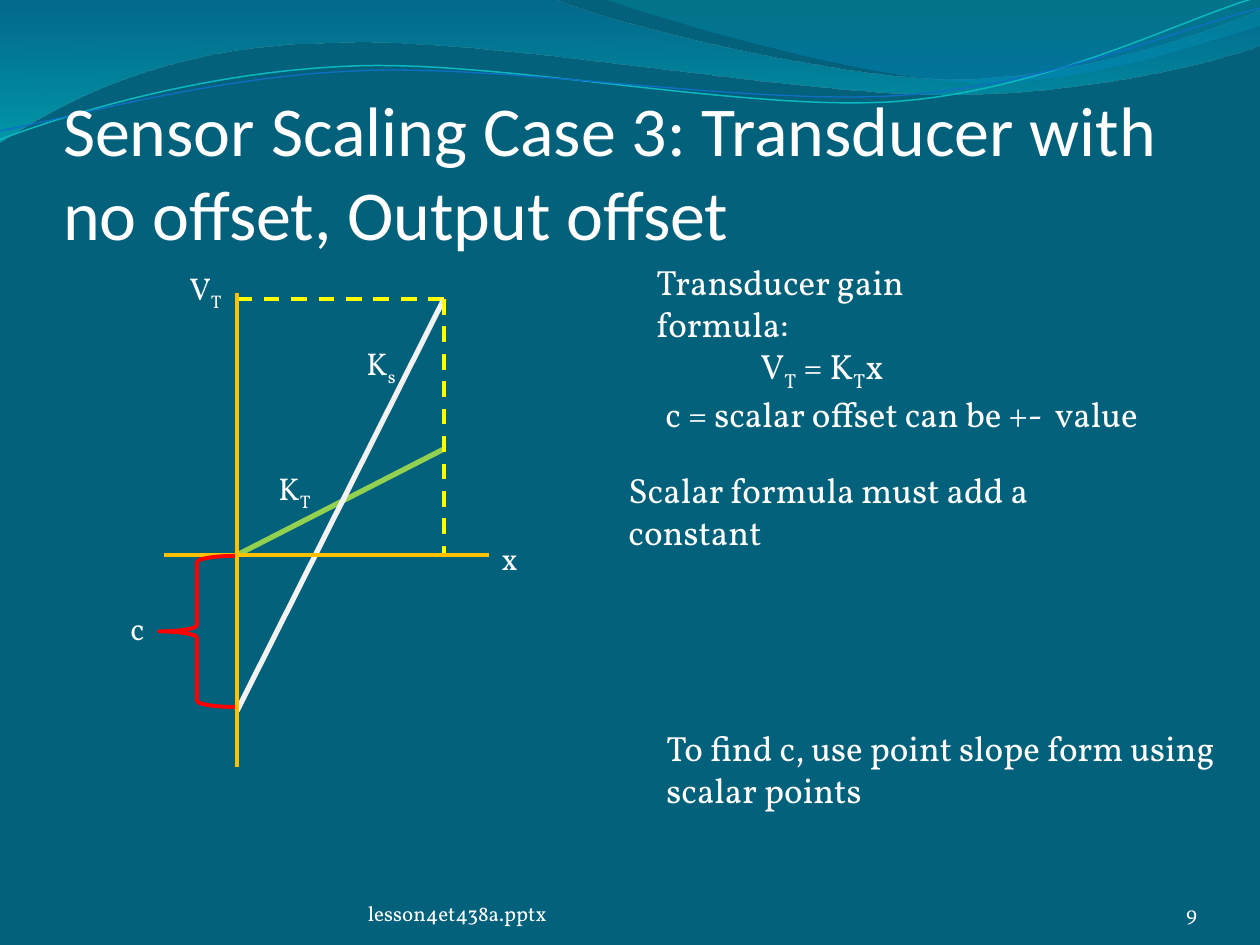
from lxml.etree import SubElement
from pptx import Presentation
from pptx.dml.color import RGBColor
from pptx.enum.dml import MSO_LINE
from pptx.enum.shapes import MSO_CONNECTOR, MSO_SHAPE
from pptx.enum.text import MSO_ANCHOR, MSO_AUTO_SIZE, PP_ALIGN
from pptx.oxml.ns import qn
from pptx.util import Emu, Pt

PX = 914400 / 126
WHITE, YELLOW, GOLD = "FFFFFF", "FFFF00", "FFC000"
TITLE = "Sensor Scaling Case 3: Transducer with no offset, Output offset"

# Outlines: a 2-tuple is a straight step, a 6-tuple a Bezier step.
# Gradient stops: position, colour, opacity in percent.
WAVES = [
    ([(0, 0), (554, -1), (600, 21, 837, 79, 955, 79), (1075, 79, 1207, 33, 1260, 11),
      (1261, 45), (1239, 55, 1096, 96, 940, 94), (784, 94, 481, 35, 324, 43),
      (163, 45, 58, 105, -1, 142)],
     [(0, "0074A1", 45), (1, "00C6CF", 55)]),
    ([(604, -1), (641, 14, 859, 78, 969, 82), (1079, 87, 1211, 40, 1260, 26), (1260, 0)],
     [(0, "00A1A9", 30), (0.8, "008BBF", 45)]),
]
RIPPLE_ANGLE = 357.3
RIPPLES = [
    ([(-3, 110), (58, 90, 199, 52, 350, 53), (499, 53, 745, 118, 896, 114),
      (1049, 109, 1184, 45, 1260, 27)], "0AB8BF", 0.85),
    ([(-2, 101), (57, 94, 207, 57, 357, 58), (509, 58, 750, 112, 902, 108),
      (1052, 104, 1189, 52, 1262, 38)], "0F6FC6", 0.75),
]

# Graph geometry
ORIGIN_X, ORIGIN_Y = 237, 555
FULL_X, FULL_Y = 444, 299
LINES = [  # x1, y1, x2, y2, colour, points, dashed
    (FULL_X, FULL_Y, 235, FULL_Y, YELLOW, 2.25, True),
    (ORIGIN_X, ORIGIN_Y, FULL_X, 449, "92D050", 3, False),
    (FULL_X, FULL_Y, ORIGIN_X, 711, "F2F2F2", 3, False),
    (FULL_X, FULL_Y, FULL_X, ORIGIN_Y, YELLOW, 2.25, True),
    (ORIGIN_X, 293, ORIGIN_X, 767, GOLD, 2, False),
    (489, ORIGIN_Y, 164, ORIGIN_Y, GOLD, 2, False),
]
BRACE = (159, 556, 76, 151)

# Text: box, paragraphs (indent, runs); a run starting with "_" is a subscript
LABELS = [
    ((266, 463, 59, 50), [(0, ["K", "_T"])]),
    ((354, 338, 54, 50), [(0, ["K", "_s"])]),
    ((177, 263, 60, 50), [(0, ["V", "_T"])]),
    ((489, 533, 40, 50), [(0, ["x"])]),
    ((118, 603, 40, 50), [(0, ["c"])]),
]
NOTES = [
    ((653, 386, 506, 54), [(0, ["c = scalar offset can be +-  value"])]),
    ((644, 254, 406, 97), [(0, ["Transducer gain formula:"]),
                           (104, ["V", "_T", " = K", "_T", "x"])]),
    ((616, 462, 559, 54), [(0, ["Scalar formula must add a constant"])]),
    ((654, 720, 638, 97), [(0, ["To find c, use point slope form using scalar points"])]),
]
FOOTERS = [
    ((368, 876, 462, 50), "lesson4et438a.pptx", PP_ALIGN.LEFT),
    ((1092, 876, 105, 50), "9", PP_ALIGN.RIGHT),
]


def px(*values):
    return [Emu(round(v * PX)) for v in values]


def rgb(color):
    return RGBColor.from_string(color)


def set_attrs(obj, **values):
    for name, value in values.items():
        setattr(obj, name, value)


def set_line(sp, color, points):
    sp.line.color.rgb = rgb(color)
    sp.line.width = Pt(points)


def add_outline(s, steps, close):
    """Draw straight and Bezier steps as one freeform on the slide's layout."""
    ends = [px(*step[-2:]) for step in steps]
    builder = s.shapes.build_freeform(*ends[0])
    builder.add_line_segments(ends[1:], close=close)
    sp = builder.convert_to_shape()
    sp.shadow.inherit = False
    segments = list(sp._element.iter(qn("a:lnTo")))
    for segment, step in zip(segments, steps[1:]):
        if len(step) == 6:
            segment.tag = qn("a:cubicBezTo")
            for i in (0, 1):
                x, y = px(*step[2 * i:2 * i + 2])
                pt = SubElement(segment, qn("a:pt"))
                pt.set("x", str(x - sp.left))
                pt.set("y", str(y - sp.top))
                segment.insert(i, pt)
    s.slide_layout.shapes._spTree.append(sp._element)
    return sp


def add_wave(s, steps, stops):
    sp = add_outline(s, steps, True)
    sp.line.fill.background()
    sp.fill.gradient()
    sp.fill.gradient_angle = 270
    for stop, (position, color, _) in zip(sp.fill.gradient_stops, stops):
        stop.position = position
        stop.color.rgb = rgb(color)
    for clr, (_, _, opacity) in zip(sp._element.spPr.iter(qn("a:srgbClr")), stops):
        SubElement(clr, qn("a:alpha")).set("val", str(opacity * 1000))


def add_ripple(s, steps, color, points):
    sp = add_outline(s, steps, False)
    sp.rotation = RIPPLE_ANGLE
    sp.fill.background()
    set_line(sp, color, points)


def add_connector(s, x1, y1, x2, y2, color, points, dashed):
    cx = s.shapes.add_connector(MSO_CONNECTOR.STRAIGHT, *px(x1, y1, x2, y2))
    set_line(cx, color, points)
    if dashed:
        cx.line.dash_style = MSO_LINE.DASH
    SubElement(cx._element.spPr, qn("a:effectLst"))


def add_text(s, box, paragraphs, size, align=PP_ALIGN.LEFT, **frame):
    tf = s.shapes.add_textbox(*px(*box)).text_frame
    set_attrs(tf, **frame)
    for i, (indent, runs) in enumerate(paragraphs):
        p = tf.add_paragraph() if i else tf.paragraphs[0]
        p.alignment = align
        if indent:
            p._p.get_or_add_pPr().set("marL", str(px(indent)[0]))
        for text in runs:
            r = p.add_run()
            r.text = text.removeprefix("_")
            set_attrs(r.font, size=Pt(size), name="Vollkorn")
            r.font.color.rgb = rgb(WHITE)
            if text.startswith("_"):
                r._r.get_or_add_rPr().set("baseline", "-25000")


def add_title(s):
    title = s.shapes.title
    left, top, width, height = px(63, 97, 1144, 158)
    set_attrs(title, left=left, top=top, width=width, height=height)
    tf = title.text_frame
    tf.text = TITLE
    set_attrs(tf, word_wrap=True, auto_size=MSO_AUTO_SIZE.NONE,
              vertical_anchor=MSO_ANCHOR.BOTTOM, margin_left=0, margin_right=0,
              margin_top=px(6)[0], margin_bottom=0)
    p = tf.paragraphs[0]
    p.alignment = PP_ALIGN.LEFT
    set_attrs(p.runs[0].font, size=Pt(40), name="Calibri")
    p.runs[0].font.color.rgb = rgb(WHITE)


def main():
    prs = Presentation()
    prs.slide_width, prs.slide_height = px(1260, 945)
    s = prs.slides.add_slide(prs.slide_layouts[5])
    s.background.fill.solid()
    s.background.fill.fore_color.rgb = rgb("04617B")
    for wave in WAVES:
        add_wave(s, *wave)
    for ripple in RIPPLES:
        add_ripple(s, *ripple)
    add_title(s)
    for box, text, align in FOOTERS:
        add_text(s, box, [(0, [text])], 12, align, word_wrap=True,
                 vertical_anchor=MSO_ANCHOR.BOTTOM,
                 margin_left=0, margin_right=0, margin_top=0, margin_bottom=0)
    for line in LINES:
        add_connector(s, *line)
    for texts, size, wrap in ((LABELS, 18, False), (NOTES, 20, True)):
        for box, paragraphs in texts:
            add_text(s, box, paragraphs, size, word_wrap=wrap,
                     auto_size=MSO_AUTO_SIZE.SHAPE_TO_FIT_TEXT)
    brace = s.shapes.add_shape(MSO_SHAPE.LEFT_BRACE, *px(*BRACE))
    brace.shadow.inherit = False
    brace.fill.background()
    set_line(brace, "FF0000", 2.25)
    prs.save("out.pptx")


if __name__ == "__main__":
    main()
